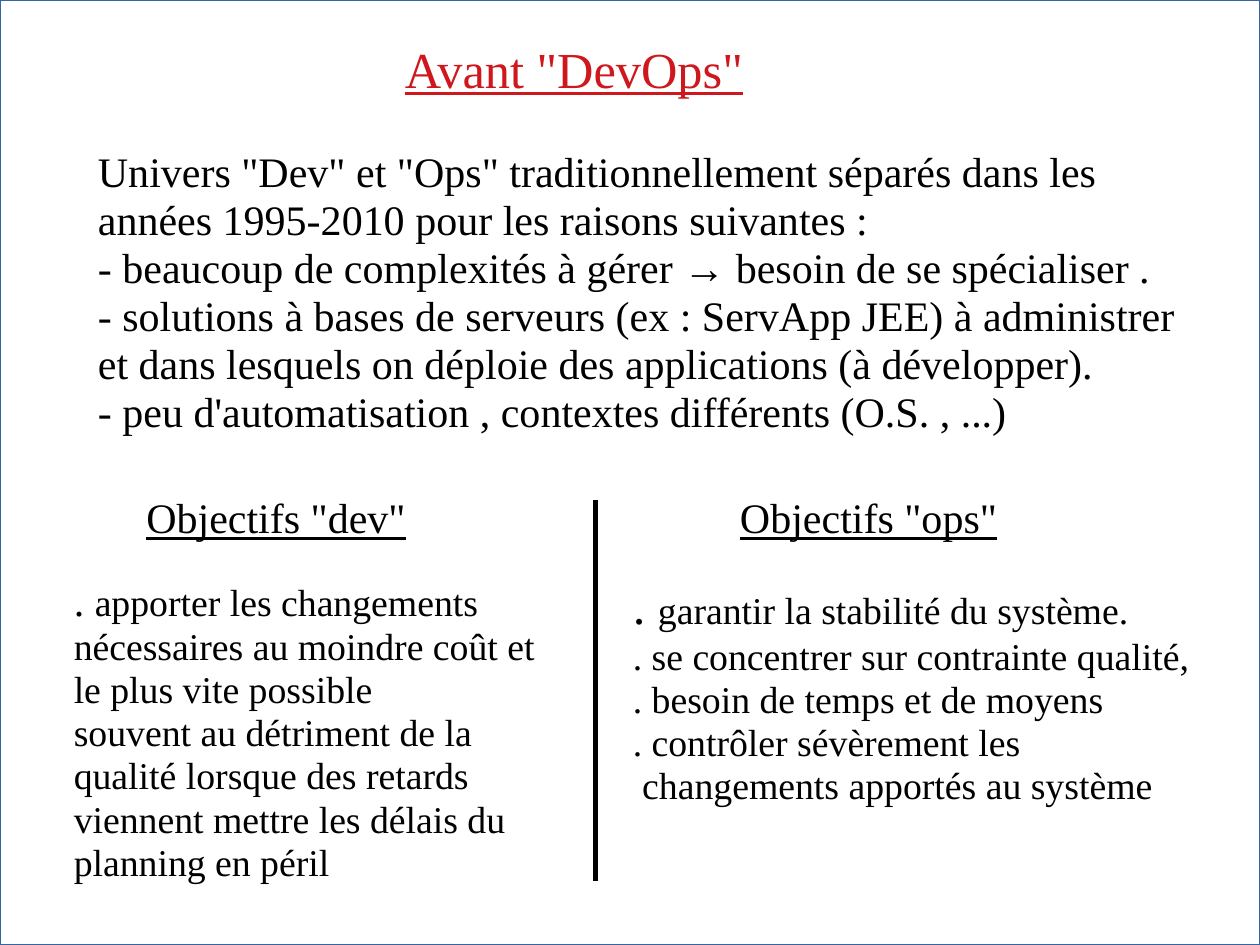
"""Build the slide on the separate Dev and Ops worlds before DevOps."""
from lxml import etree
from pptx import Presentation
from pptx.dml.color import RGBColor
from pptx.enum.shapes import MSO_CONNECTOR, MSO_SHAPE
from pptx.enum.text import MSO_ANCHOR, MSO_AUTO_SIZE, PP_ALIGN
from pptx.oxml.ns import qn
from pptx.util import Inches, Pt

STRAIGHT = MSO_CONNECTOR.STRAIGHT
RECTANGLE = MSO_SHAPE.RECTANGLE
TOP = MSO_ANCHOR.TOP
NO_FIT = MSO_AUTO_SIZE.NONE
LEFT = PP_ALIGN.LEFT

FONT = "Times New Roman"
RED = RGBColor(0xCE, 0x18, 0x1E)
BLACK = RGBColor(0x00, 0x00, 0x00)
BLUE = RGBColor(0x34, 0x65, 0xA4)


def add_text(p, text, size, color, underline):
    """Add one formatted run to a paragraph."""
    r = p.add_run()
    r.text = text
    r.font.name = FONT
    r.font.size = Pt(size)
    r.font.color.rgb = color
    r.font.underline = underline


def write(sp, box, paragraphs, size, color=BLACK, heading=False, lead_size=None):
    """Place a text shape and fill it, with an optional larger leading dot."""
    sp.left, sp.top, sp.width, sp.height = [Inches(v) for v in box]
    tf = sp.text_frame
    tf.word_wrap = not heading
    tf.auto_size = NO_FIT
    tf.vertical_anchor = TOP
    for i, lines in enumerate(paragraphs):
        p = tf.paragraphs[0] if i == 0 else tf.add_paragraph()
        p.alignment = LEFT
        p.line_spacing = 0.95
        p.space_before = Pt(0)
        if lead_size and i == 0:
            add_text(p, ". ", lead_size, color, heading)
        for j, line in enumerate(lines):
            if j:
                p.add_line_break()
            add_text(p, line, size, color, heading)


prs = Presentation()
prs.slide_width = Inches(8.34)
prs.slide_height = prs.slide_width * 3 // 4
s = prs.slides.add_slide(prs.slide_layouts[5])

write(s.shapes.title, (2.58, 0.23, 2.46, 0.48), [['Avant "DevOps"']], 24, RED, heading=True)

reasons = [[
    'Univers "Dev" et "Ops" traditionnellement séparés dans les années 1995-2010 pour les raisons suivantes :',
    "- beaucoup de complexités à gérer → besoin de se spécialiser .",
    "- solutions à bases de serveurs (ex : ServApp JEE) à administrer et dans lesquels on déploie des applications (à développer).",
    "- peu d'automatisation , contextes différents (O.S. , ...)",
]]
sp = s.shapes.add_textbox(0, 0, 0, 0)
write(sp, (0.55, 0.94, 7.56, 2), reasons, 20)

dev_goals = [
    ["apporter les changements nécessaires au moindre coût et le plus vite possible"],
    ["souvent au détriment de la qualité lorsque des retards viennent mettre les délais du planning en péril"],
]
ops_goals = [[
    "garantir la stabilité du système. ",
    ". se concentrer sur contrainte qualité, ",
    ". besoin de temps et de moyens ",
    ". contrôler sévèrement les",
    " changements apportés au système",
]]
columns = [
    ('Objectifs "dev"', (0.87, 3.23, 1.92, 0.41), dev_goals, (0.39, 3.78, 3.47, 2.12), 20),
    ('Objectifs "ops"', (4.8, 3.23, 1.9, 0.41), ops_goals, (4.09, 3.78, 4.02, 1.81), 24),
]
for heading, heading_box, goals, goals_box, lead_size in columns:
    sp = s.shapes.add_textbox(0, 0, 0, 0)
    write(sp, heading_box, [[heading]], 20, heading=True)
    sp = s.shapes.add_textbox(0, 0, 0, 0)
    write(sp, goals_box, goals, 18, lead_size=lead_size)

divider = s.shapes.add_connector(STRAIGHT, Inches(3.94), Inches(3.31), Inches(3.94), Inches(5.83))
divider.line.color.rgb = BLACK
divider.line.width = Pt(2.3)
etree.SubElement(divider._element.spPr, qn("a:effectLst"))

frame = s.shapes.add_shape(RECTANGLE, 0, 0, prs.slide_width, prs.slide_height)
frame.shadow.inherit = False
frame.fill.background()
frame.line.color.rgb = BLUE
frame.line.width = Pt(0.75)

prs.save("out.pptx")
